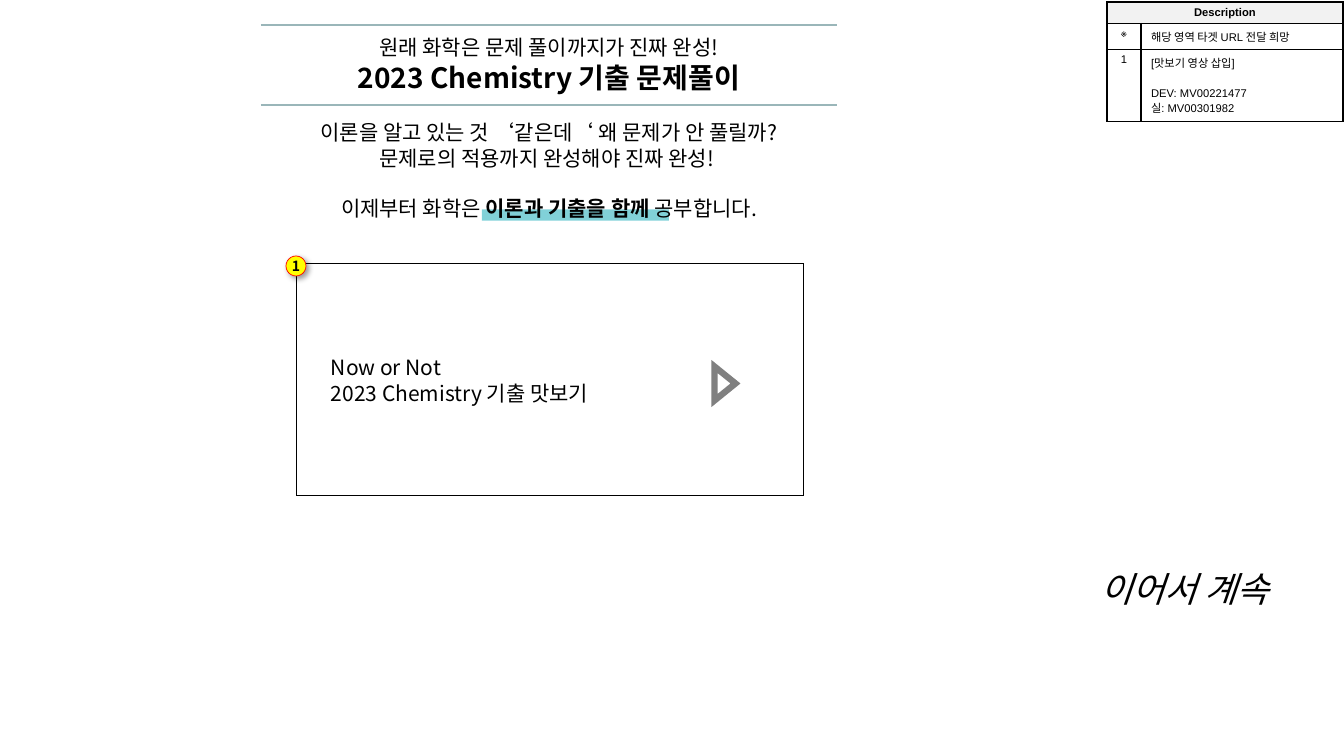
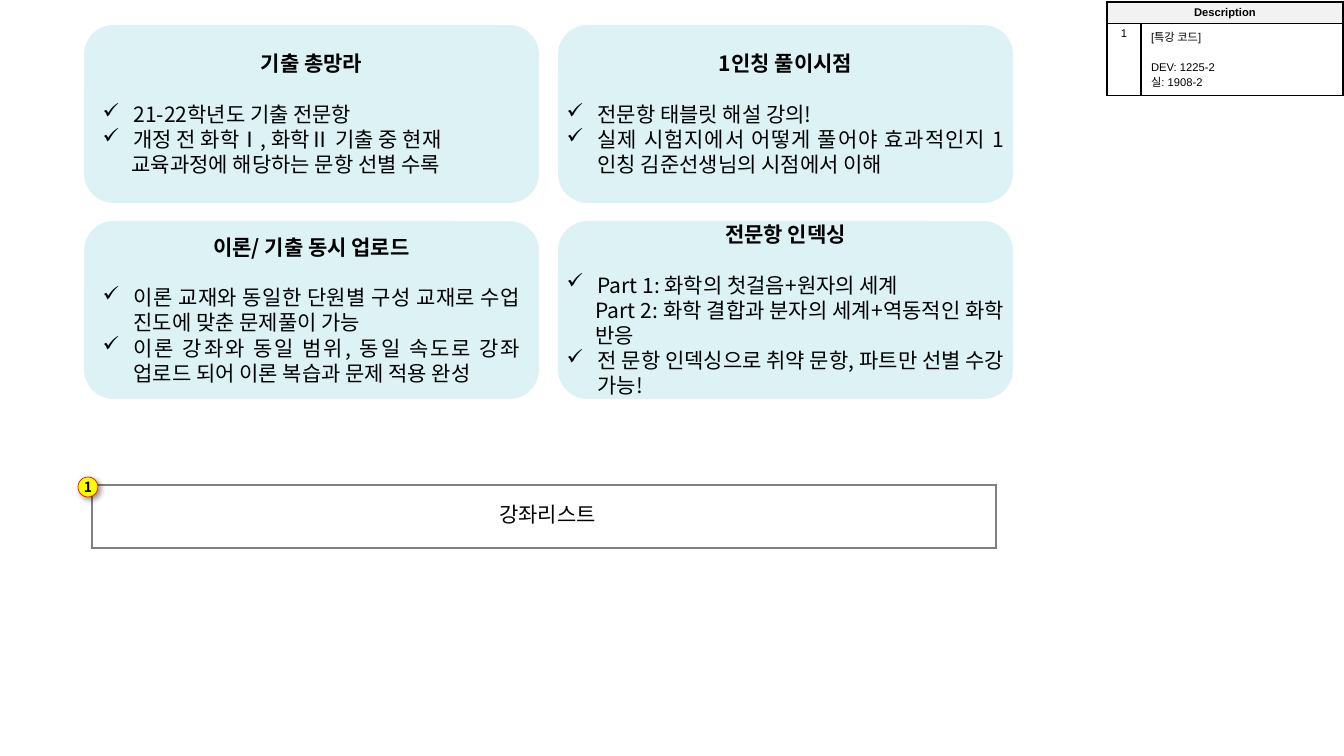
import pptx
import pptx.util
import pptx.dml.color
import pptx.enum.shapes
import pptx.enum.text
import pptx.oxml
import pptx.oxml.ns
import lxml.etree

PX = 914400 / 100.8
SANS = "Noto Sans CJK KR"
INK = "000000"
NS = 'xmlns:a="http://schemas.openxmlformats.org/drawingml/2006/main"'
KIND = pptx.enum.shapes.MSO_SHAPE
ALIGN = {
    "c": pptx.enum.text.PP_ALIGN.CENTER,
    "l": pptx.enum.text.PP_ALIGN.LEFT,
    "v": pptx.enum.text.PP_ALIGN.JUSTIFY,
    "j": pptx.enum.text.PP_ALIGN.JUSTIFY,
}
INDENT = {"v": (31, -31), "j": (29, 0)}
MID = pptx.enum.text.MSO_ANCHOR.MIDDLE
Pt = pptx.util.Pt


def hue(code):
    return pptx.dml.color.RGBColor.from_string(code)


def write(frame, paras, size=15, face=SANS, fixed=True):
    frame.word_wrap = True
    for row, (kind, gap, runs) in enumerate(paras):
        para = frame.add_paragraph() if row else frame.paragraphs[0]
        para.alignment = ALIGN[kind]
        props = para._p.get_or_add_pPr()
        if kind in INDENT:
            left, first = INDENT[kind]
            props.set("marL", str(round(left * PX)))
            props.set("indent", str(round(first * PX)))
        if kind == "v":
            mark = lxml.etree.SubElement(props, pptx.oxml.ns.qn("a:buChar"))
            mark.set("char", "✓")
        if gap:
            para.space_before = Pt(gap)
        for text, style, *big in runs:
            run = para.add_run()
            run.text = text
            font = run.font
            font.size = Pt(big[0] if big else size)
            font.bold = "b" in style
            font.italic = "i" in style
            font.color.rgb = hue(INK)
            font.name = face
            east = lxml.etree.SubElement(run._r.rPr, pptx.oxml.ns.qn("a:ea"))
            east.set("typeface", SANS)
            if fixed:
                para.line_spacing = Pt(1.2 * font.size.pt)


deck = pptx.Presentation()
deck.slide_width = round(1344 * PX)
deck.slide_height = round(756 * PX)
intro, detail = [deck.slides.add_slide(deck.slide_layouts[6]) for _ in range(2)]

lines = [
    (261, 837, 25, "9AB6B9", 1.5, 100),
    (261, 837, 105, "9AB6B9", 1.5, 100),
    (482, 669, 215, "09A5B4", 8, 51),
]
for start, end, top, tone, width, alpha in lines:
    line = intro.shapes.add_connector(
        pptx.enum.shapes.MSO_CONNECTOR.STRAIGHT,
        *[round(n * PX) for n in (start, top, end, top)])
    line.line.color.rgb = hue(tone)
    line.line.width = Pt(width)
    if alpha < 100:
        shade = line._element.spPr.find(".//" + pptx.oxml.ns.qn("a:srgbClr"))
        lxml.etree.SubElement(shade, pptx.oxml.ns.qn("a:alpha")).set("val", str(alpha * 1000))
    lxml.etree.SubElement(line._element.spPr, pptx.oxml.ns.qn("a:effectLst"))

frames = [
    (intro, KIND.RECTANGLE, (296, 263, 507, 232), INK, 0.5, 0),
    (intro, KIND.ISOSCELES_TRIANGLE, (708, 373, 34, 21), "808080", 4.5, 90),
    (detail, KIND.RECTANGLE, (92, 485, 904, 63), "808080", 1, 0),
]
for slide, kind, area, tone, width, turn in frames:
    shape = slide.shapes.add_shape(kind, *[round(n * PX) for n in area])
    shape.shadow.inherit = False
    shape.fill.background()
    shape.line.color.rgb = hue(tone)
    shape.line.width = Pt(width)
    shape.line._ln.append(pptx.oxml.parse_xml(f'<a:miter {NS} lim="800000"/>'))
    shape.rotation = turn

cards = [
    [("c", 0, [("기출 총망라", "b")]),
     ("v", 18, [("21-22학년도 기출 전문항", "")]),
     ("v", 0, [("개정 전 화학Ⅰ, 화학Ⅱ 기출 중 현재", "")]),
     ("j", 0, [("교육과정에 해당하는 문항 선별 수록", "")])],
    [("c", 0, [("1인칭 풀이시점", "b")]),
     ("v", 18, [("전문항 태블릿 해설 강의!", "")]),
     ("v", 0, [("실제 시험지에서 어떻게 풀어야 효과적인지 1인칭 김준선생님의 시점에서 이해", "")])],
    [("c", 0, [("이론/ 기출 동시 업로드", "b")]),
     ("v", 18, [("이론 교재와 동일한 단원별 구성 교재로 수업 진도에 맞춘 문제풀이 가능", "")]),
     ("v", 0, [("이론 강좌와 동일 범위, 동일 속도로 강좌 업로드 되어 이론 복습과 문제 적용 완성", "")])],
    [("c", 0, [("전문항 인덱싱", "b")]),
     ("v", 18, [("Part 1: 화학의 첫걸음+원자의 세계", "")]),
     ("j", 0, [("Part 2: 화학 결합과 분자의 세계+역동적인 화학 반응", "")]),
     ("v", 0, [("전 문항 인덱싱으로 취약 문항, 파트만 선별 수강 가능!", "")])],
]
for place, paras in enumerate(cards):
    row, col = divmod(place, 2)
    area = (84 + 474 * col, 25 + 196 * row, 455, 178)
    card = detail.shapes.add_shape(KIND.ROUNDED_RECTANGLE, *[round(n * PX) for n in area])
    card.shadow.inherit = False
    card.fill.solid()
    card.fill.fore_color.rgb = hue("8CD4E0")
    shade = card._element.spPr.find(".//" + pptx.oxml.ns.qn("a:srgbClr"))
    lxml.etree.SubElement(shade, pptx.oxml.ns.qn("a:alpha")).set("val", "30000")
    card.line.fill.background()
    frame = card.text_frame
    frame.vertical_anchor = MID
    if col:
        frame.margin_left = frame.margin_right = 0
    write(frame, paras)

texts = [
    (intro, (316, 30, 466, 70), [
        ("c", 0, [("원래 화학은 문제 풀이까지가 진짜 완성!", "")]),
        ("c", 0, [("2023 Chemistry 기출 문제풀이", "b", 20)])]),
    (intro, (282, 115, 534, 112), [
        ("c", 0, [("이론을 알고 있는 것 ‘같은데‘ 왜 문제가 안 풀릴까?", "")]),
        ("c", 0, [("문제로의 적용까지 완성해야 진짜 완성! ", "")]),
        ("c", 18, [("이제부터 화학은 ", ""), ("이론과 기출을 함께", "b"), (" 공부합니다.", "")])]),
    (intro, (321, 350, 458, 61), [
        ("l", 0, [("Now or Not", "")]),
        ("l", 0, [("2023 Chemistry 기출 맛보기", "")])]),
    (intro, (1028, 563, 313, 52), [("c", 0, [("이어서 계속", "i", 25)])]),
    (detail, (252, 497, 591, 35), [("c", 0, [("강좌리스트", "")])]),
]
for slide, area, paras in texts:
    box = slide.shapes.add_textbox(*[round(n * PX) for n in area])
    write(box.text_frame, paras)

notes = [
    (intro, (286, 256), [
        (26, "※", ["해당 영역 타겟 URL 전달 희망"]),
        (72, "1", ["[맛보기 영상 삽입]", "DEV: MV00221477", "실: MV00301982"])]),
    (detail, (78, 477), [
        (72, "1", ["[특강 코드]", "DEV: 1225-2", "실: 1908-2"])]),
]
for slide, spot, items in notes:
    badge = slide.shapes.add_shape(KIND.OVAL, *[round(n * PX) for n in (*spot, 20, 20)])
    badge.fill.solid()
    badge.fill.fore_color.rgb = hue("FFFF00")
    badge.line.color.rgb = hue("FF0000")
    badge.line.width = Pt(0.5)
    badge._element.spPr.append(pptx.oxml.parse_xml(
        f'<a:effectLst {NS}><a:outerShdw blurRad="50800" dist="38100" dir="2700000">'
        f'<a:srgbClr val="{INK}"><a:alpha val="40000"/></a:srgbClr></a:outerShdw></a:effectLst>'))
    frame = badge.text_frame
    frame.margin_left = frame.margin_right = frame.margin_top = frame.margin_bottom = 0
    frame.vertical_anchor = MID
    write(frame, [("c", 0, [("1", "b")])], size=10)

    highs = [21] + [item[0] for item in items]
    area = (1107, 2, 236, sum(highs))
    table = slide.shapes.add_table(len(highs), 2, *[round(n * PX) for n in area]).table
    table.first_row = table.horz_banding = False
    for col, width in enumerate((34, 202)):
        table.columns[col].width = round(width * PX)
    for row, high in enumerate(highs):
        table.rows[row].height = round(high * PX)
        for col in range(2):
            cell = table.cell(row, col)
            props = cell._tc.get_or_add_tcPr()
            for side in "LRTB":
                props.append(pptx.oxml.parse_xml(
                    f'<a:ln{side} {NS} w="12700"><a:solidFill><a:srgbClr val="{INK}"/>'
                    f'</a:solidFill></a:ln{side}>'))
            cell.fill.solid()
            cell.fill.fore_color.rgb = hue("FFFFFF" if row else "F2F2F2")
            if row == 0 or col == 0:
                cell.margin_left = cell.margin_right = round(9 * PX)
                cell.margin_top = cell.margin_bottom = round(4 * PX)
    table.cell(0, 0).merge(table.cell(0, 1))
    write(table.cell(0, 0).text_frame, [("c", 0, [("Description", "b")])], 8, "Arial", False)
    for row, (high, mark, words) in enumerate(items, 1):
        write(table.cell(row, 0).text_frame, [("c", 0, [(mark, "")])], 8, "Arial", False)
        paras = [("l", 11.6 if i == 1 else 0, [(word, "")]) for i, word in enumerate(words)]
        write(table.cell(row, 1).text_frame, paras, 8, "Arial", False)

deck.save("out.pptx")
